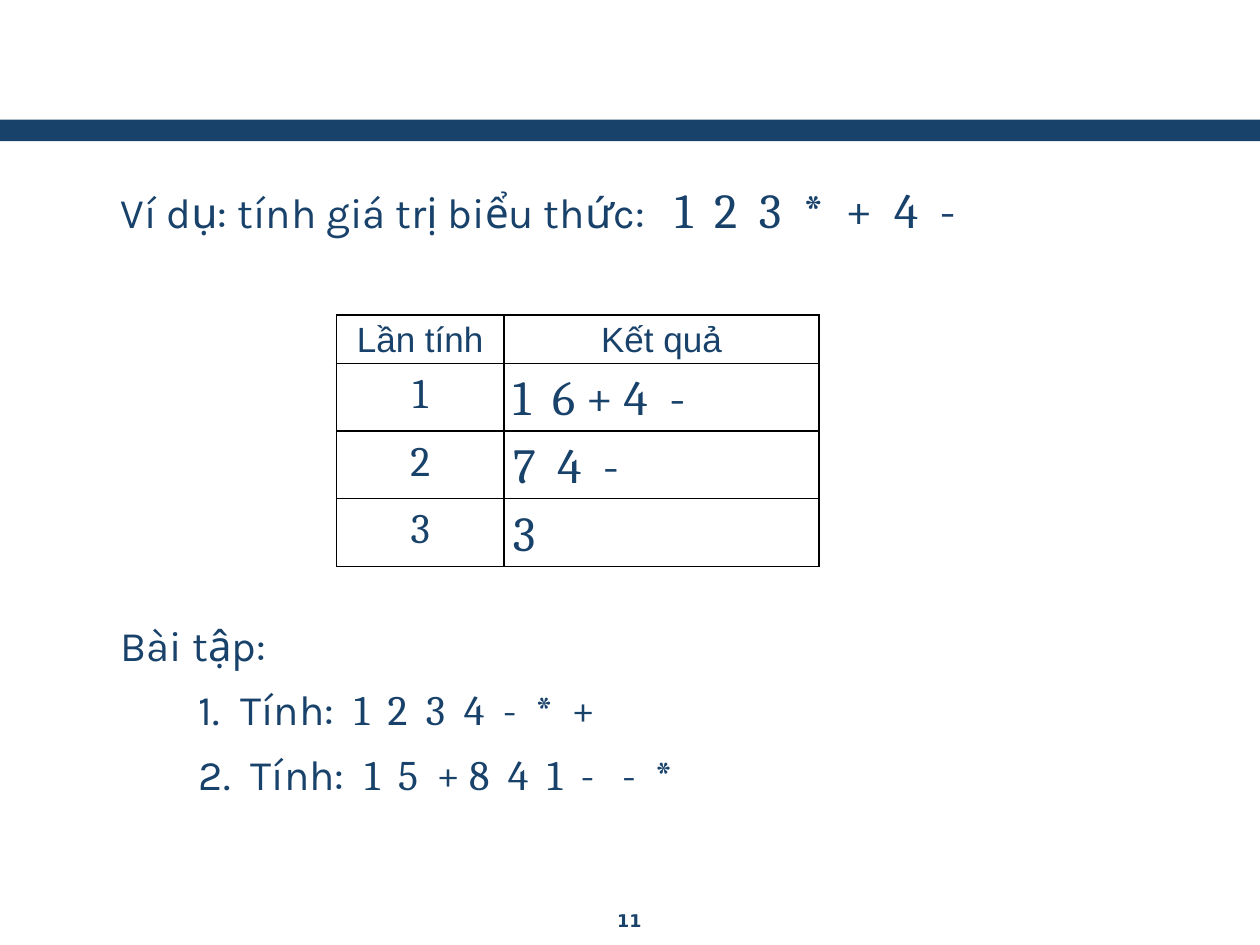
"""Build the slide on evaluating postfix expressions."""
import lxml.etree
import pptx
import pptx.dml.color
import pptx.enum.shapes
import pptx.enum.text
import pptx.oxml.ns
import pptx.util

Inches, Pt = pptx.util.Inches, pptx.util.Pt
CENTER = pptx.enum.text.PP_ALIGN.CENTER
NAVY = "19426B"


def color(value):
    return pptx.dml.color.RGBColor.from_string(value)


def add_run(p, text, size, font, bold=False):
    r = p.add_run()
    r.text = text
    r.font.size = Pt(size)
    r.font.name = font
    r.font.bold = bold
    r.font.color.rgb = color(NAVY)


prs = pptx.Presentation()
prs.slide_width, prs.slide_height = Inches(10), Inches(7.5)
s = prs.slides.add_slide(prs.slide_layouts[6])

bar = s.shapes.add_shape(pptx.enum.shapes.MSO_SHAPE.RECTANGLE,
                         0, Inches(0.95), Inches(10), Inches(0.17))
bar.shadow.inherit = False
bar.fill.solid()
bar.fill.fore_color.rgb = color(NAVY)
bar.line.fill.background()

example = [[("Ví dụ: tính giá trị biểu thức:   ", 24, "Karla"),
            ("1  2  3  *  +  4  -", 28, "Cambria")]]
exercises = [[("Bài tập:", 24, "Karla")],
             [("\t1.  Tính:  ", 24, "Karla"),
              ("1  2  3  4  -  *  +", 24, "Cambria")],
             [("\t2.  Tính:  ", 24, "Karla"),
              ("1  5  + 8  4  1  -   -  *", 24, "Cambria")]]
for top, height, paragraphs in [(1.33, 0.75, example), (4.83, 1.67, exercises)]:
    tf = s.shapes.add_textbox(Inches(0.42), Inches(top),
                              Inches(9.25), Inches(height)).text_frame
    tf.word_wrap = True
    for i, runs in enumerate(paragraphs):
        p = tf.add_paragraph() if i else tf.paragraphs[0]
        p.line_spacing = 1.1
        p.space_before = Pt(5)
        pPr = p._p.get_or_add_pPr()
        pPr.set("marL", str(Inches(1.06)))
        pPr.set("indent", str(Inches(-0.62)))
        for run in runs:
            add_run(p, *run)

rows = [("Lần tính", "Kết quả"), ("1", "1  6 + 4  -"), ("2", "7  4  -"), ("3", "3")]
table = s.shapes.add_table(len(rows), 2, Inches(2.67), Inches(2.5),
                           Inches(3.83), Inches(1.89)).table
table.first_row = table.horz_banding = False
table.columns[0].width, table.columns[1].width = Inches(1.33), Inches(2.5)
for i, row in enumerate(rows):
    table.rows[i].height = Inches(0.51 if i else 0.36)
    for j, text in enumerate(row):
        cell = table.cell(i, j)
        cell.margin_left = cell.margin_right = Inches(0.07)
        cell.margin_top = cell.margin_bottom = 0
        p = cell.text_frame.paragraphs[0]
        p.line_spacing = 1.15
        if i == 0 or j == 0:
            p.alignment = CENTER
        add_run(p, text, (24, 28)[j] if i else 20, "Cambria" if i else "Arial")
        tcPr = cell._tc.get_or_add_tcPr()
        for side in ("a:lnL", "a:lnR", "a:lnT", "a:lnB"):
            ln = lxml.etree.SubElement(tcPr, pptx.oxml.ns.qn(side), w=str(Pt(1)))
            fill = lxml.etree.SubElement(ln, pptx.oxml.ns.qn("a:solidFill"))
            lxml.etree.SubElement(fill, pptx.oxml.ns.qn("a:srgbClr"), val="000000")
        cell.fill.background()

tf = s.shapes.add_textbox(Inches(3.83), Inches(7.17),
                          Inches(2.33), Inches(0.26)).text_frame
tf.word_wrap = True
p = tf.paragraphs[0]
p.alignment = CENTER
add_run(p, "11", 10, "DejaVu Sans", True)

prs.save("out.pptx")
